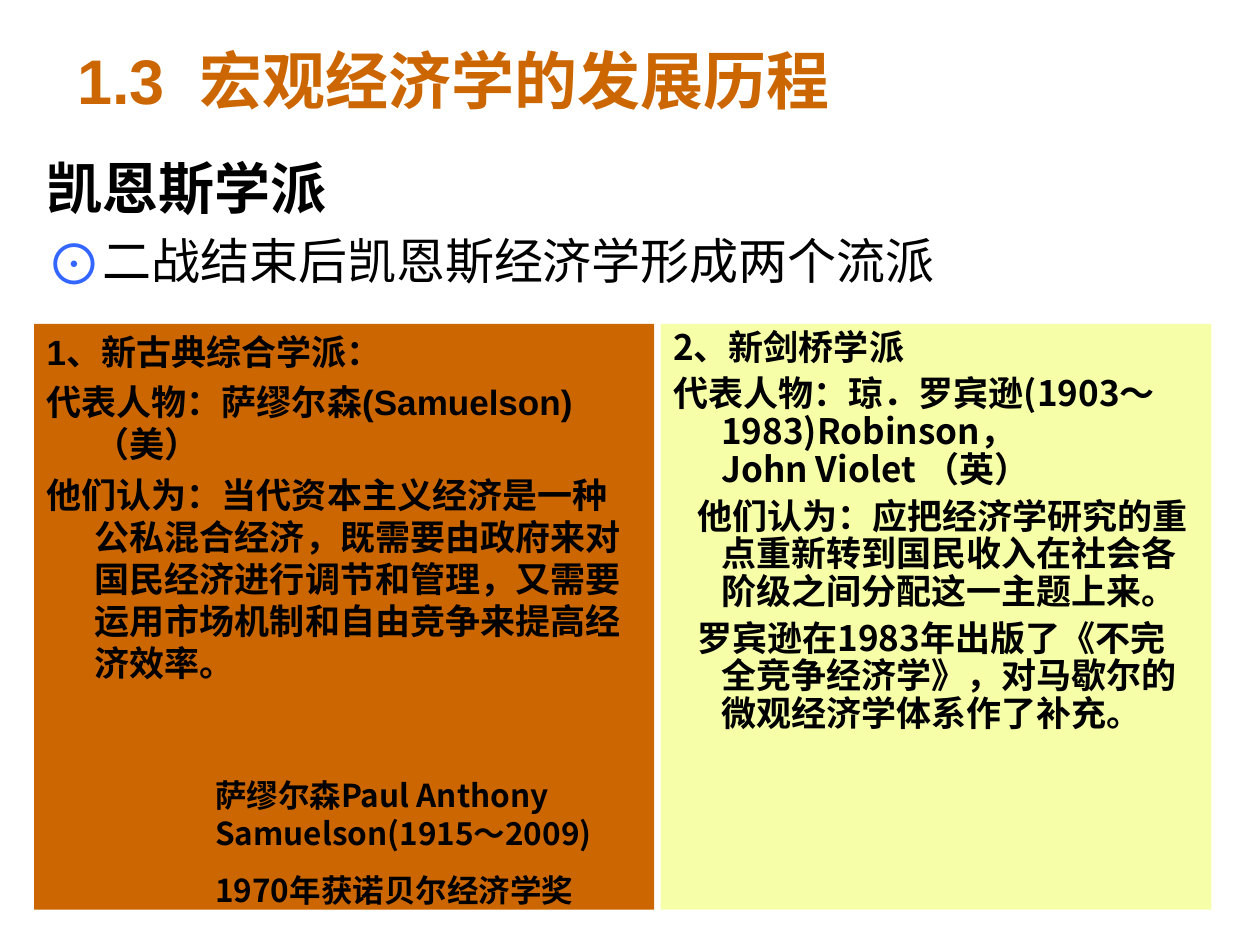
from lxml.etree import SubElement
from pptx import Presentation
from pptx.dml.color import RGBColor
from pptx.enum.shapes import MSO_SHAPE
from pptx.enum.text import MSO_ANCHOR, PP_ALIGN
from pptx.oxml.ns import qn
from pptx.util import Cm, Pt

THEME = {
    "orange": RGBColor.from_string("CC6600"),
    "yellow": RGBColor.from_string("F6FEA8"),
    "black": RGBColor.from_string("000000"),
    "bullet": "3366FF",
    "latin": "Arial",
    "chinese": "Noto Sans CJK SC",
    "title": 36, "heading": 32, "lead": 28, "body": 20, "caption": 18,
}

# Content
TITLE = "1.3  宏观经济学的发展历程"
HEADING = "凯恩斯学派"
LEAD = "二战结束后凯恩斯经济学形成两个流派"
SYNTHESIS = [
    "1、新古典综合学派：",
    "代表人物：萨缪尔森(Samuelson)（美）",
    "他们认为：当代资本主义经济是一种公私混合经济，既需要由政府来对国民经济进行调节和管理，"
    "又需要运用市场机制和自由竞争来提高经济效率。",
]
CAMBRIDGE = [
    "2、新剑桥学派",
    "代表人物：琼．罗宾逊(1903～1983)Robinson，John\u00a0Violet （英）",
    "他们认为：应把经济学研究的重点重新转到国民收入在社会各阶级之间分配这一主题上来。",
    "罗宾逊在1983年出版了《不完全竞争经济学》，对马歇尔的微观经济学体系作了补充。",
]
CAPTION = ["萨缪尔森Paul Anthony Samuelson(1915～2009)", "1970年获诺贝尔经济学奖"]

# Layout in centimetres
HANG = 0.97
LEFT, PANEL_TOP, PANEL_HEIGHT = 0.69, 6.53, 11.81
SYNTHESIS_WIDTH, CAMBRIDGE_WIDTH, GAP = 12.5, 11.1, 0.13


def add_span(para, text, size, latin, color="black", bold=True):
    span = para.add_run()
    span.text = text
    formats = {"size": Pt(THEME[size]), "name": THEME[latin], "bold": bold}
    for name, value in formats.items():
        setattr(span.font, name, value)
    span.font.color.rgb = THEME[color]
    SubElement(span._r.get_or_add_rPr(), qn("a:ea"), typeface=THEME["chinese"])


def indent(para, left, first):
    props = para._p.get_or_add_pPr()
    props.set("marL", str(Cm(left)))
    props.set("indent", str(Cm(first)))
    return props


def add_bullet(para, char, percent, width):
    props = indent(para, width, -width)
    color = SubElement(props, qn("a:buClr"))
    SubElement(color, qn("a:srgbClr"), val=THEME["bullet"])
    SubElement(props, qn("a:buSzPct"), val=str(percent * 1000))
    SubElement(props, qn("a:buFont"), typeface=THEME["chinese"])
    SubElement(props, qn("a:buChar"), char=char)


def add_paras(frame, texts, size, latin, before, spacing=1.0, hangs=None):
    frame.word_wrap = True
    frame.vertical_anchor = MSO_ANCHOR.TOP
    for index, text in enumerate(texts):
        para = frame.add_paragraph() if index else frame.paragraphs[0]
        para.alignment = PP_ALIGN.LEFT
        para.line_spacing = spacing
        para.space_before = Pt(before if index else 0)
        if hangs:
            indent(para, HANG, -hangs[index])
        add_span(para, text, size, latin)


def add_panel(page, left, width, fill):
    panel = page.shapes.add_shape(MSO_SHAPE.RECTANGLE, Cm(left), Cm(PANEL_TOP),
                                  Cm(width), Cm(PANEL_HEIGHT))
    panel.shadow.inherit = False
    panel.fill.solid()
    panel.fill.fore_color.rgb = THEME[fill]
    panel.line.fill.background()
    return panel.text_frame


def main():
    deck = Presentation()
    deck.slide_width, deck.slide_height = Cm(25.4), Cm(19.05)
    page = deck.slides.add_slide(deck.slide_layouts[5])

    # Title
    title = page.shapes.title
    title.left, title.top, title.width, title.height = Cm(1.3), Cm(0), Cm(22.86), Cm(3.18)
    title.text_frame.vertical_anchor = MSO_ANCHOR.MIDDLE
    para = title.text_frame.paragraphs[0]
    para.alignment = PP_ALIGN.LEFT
    add_span(para, TITLE, "title", "latin", "orange")

    # Heading and lead
    frame = page.shapes.add_textbox(Cm(LEFT), Cm(3.12), Cm(24), Cm(2.79)).text_frame
    add_paras(frame, [HEADING], "heading", "chinese", 0, 0.9)
    lead = frame.add_paragraph()
    lead.line_spacing, lead.space_before = 0.9, Pt(9)
    add_bullet(lead, "⊙", 114, 1.13)
    add_span(lead, LEAD, "lead", "latin", bold=False)

    # The two schools, side by side
    frame = add_panel(page, LEFT, SYNTHESIS_WIDTH, "orange")
    add_paras(frame, SYNTHESIS, "body", "latin", 5, hangs=[HANG] * 3)
    frame = add_panel(page, LEFT + SYNTHESIS_WIDTH + GAP, CAMBRIDGE_WIDTH, "yellow")
    add_paras(frame, CAMBRIDGE, "body", "chinese", 5, 0.9,
              hangs=[HANG, HANG, HANG / 2, HANG / 2])

    # Caption on the first panel
    frame = page.shapes.add_textbox(Cm(4.09), Cm(15.52), Cm(8.81), Cm(3.5)).text_frame
    add_paras(frame, CAPTION, "caption", "chinese", 11.2)

    deck.save("out.pptx")


if __name__ == "__main__":
    main()
